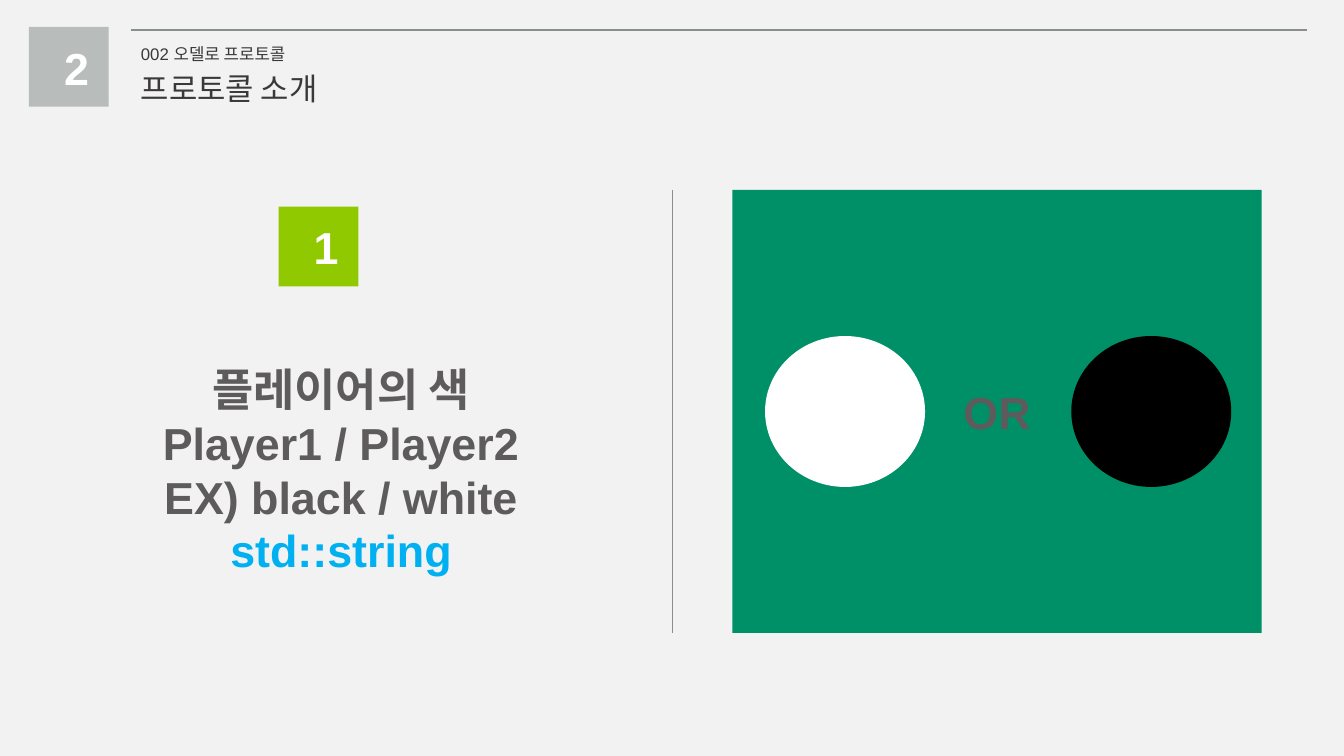
from pptx import Presentation
from pptx.dml.color import RGBColor
from pptx.enum.shapes import MSO_CONNECTOR, MSO_SHAPE
from pptx.enum.text import MSO_ANCHOR, PP_ALIGN
from pptx.oxml.ns import qn
from pptx.util import Pt
from lxml.etree import SubElement

GREY = "5D5B5B"
DARK = "3A3838"
RULE = "898F8D"
WHITE = "FFFFFF"


def rgb(value):
    return RGBColor.from_string(value)


def write(tf, lines, size, bold=False, align=PP_ALIGN.CENTER):
    for i, (text, color) in enumerate(lines):
        p = tf.paragraphs[0] if i == 0 else tf.add_paragraph()
        p.text = text
        p.alignment = align
        p.font.name = "Arial"
        p.font.size = Pt(size)
        p.font.bold = bold
        p.font.color.rgb = rgb(color)


def add_text(s, box, lines, size, bold=False, align=PP_ALIGN.CENTER, wrap=True):
    tf = s.shapes.add_textbox(*map(Pt, box)).text_frame
    tf.word_wrap = wrap
    write(tf, lines, size, bold, align)


def add_block(s, kind, box, color):
    sp = s.shapes.add_shape(kind, *map(Pt, box))
    sp.shadow.inherit = False
    sp.fill.solid()
    sp.fill.fore_color.rgb = rgb(color)
    sp.line.fill.background()
    return sp


def add_rule(s, x1, y1, x2, y2, width):
    line = s.shapes.add_connector(MSO_CONNECTOR.STRAIGHT, *map(Pt, (x1, y1, x2, y2)))
    line.line.color.rgb = rgb(RULE)
    line.line.width = Pt(width)
    SubElement(line._element.spPr, qn("a:effectLst"))


def add_badge(s, x, y, number, color):
    add_block(s, MSO_SHAPE.RECTANGLE, (x, y, 57, 57), color)
    add_text(s, (x + 18, y + 6, 20, 46), [(number, WHITE)], 32, True)


def add_header(s):
    add_rule(s, 93.6, 21.6, 933.6, 21.6, 1.5)
    add_badge(s, 20.7, 19.2, "2", "B8BCBB")
    add_text(s, (93.6, 27.4, 130, 21.6), [("002 오델로 프로토콜", DARK)], 12,
             align=PP_ALIGN.LEFT, wrap=False)
    add_text(s, (93.6, 46.1, 154, 33.8), [("프로토콜 소개", DARK)], 22,
             align=PP_ALIGN.LEFT, wrap=False)


def add_board(s):
    board = add_block(s, MSO_SHAPE.RECTANGLE, (523.2, 135.6, 378, 316.5), "009067")
    board.text_frame.vertical_anchor = MSO_ANCHOR.MIDDLE
    write(board.text_frame, [("OR", GREY)], 32, True)
    for x, color in ((546.5, WHITE), (765.2, "000000")):
        add_block(s, MSO_SHAPE.OVAL, (x, 240, 114.3, 107.8), color)


def main():
    prs = Presentation()
    prs.slide_width, prs.slide_height = Pt(960), Pt(540)
    s = prs.slides.add_slide(prs.slide_layouts[6])
    s.background.fill.solid()
    s.background.fill.fore_color.rgb = rgb("F2F2F2")

    add_header(s)
    add_rule(s, 480.3, 135.6, 480.3, 452.1, 0.5)
    add_badge(s, 199, 147.6, "1", "90C900")
    add_text(s, (54, 254.9, 379.4, 162.7),
             [("플레이어의 색", GREY), ("Player1 / Player2", GREY),
              ("EX) black / white", GREY), ("std::string", "00B0F0")], 32, True)
    add_board(s)
    prs.save("out.pptx")


main()
